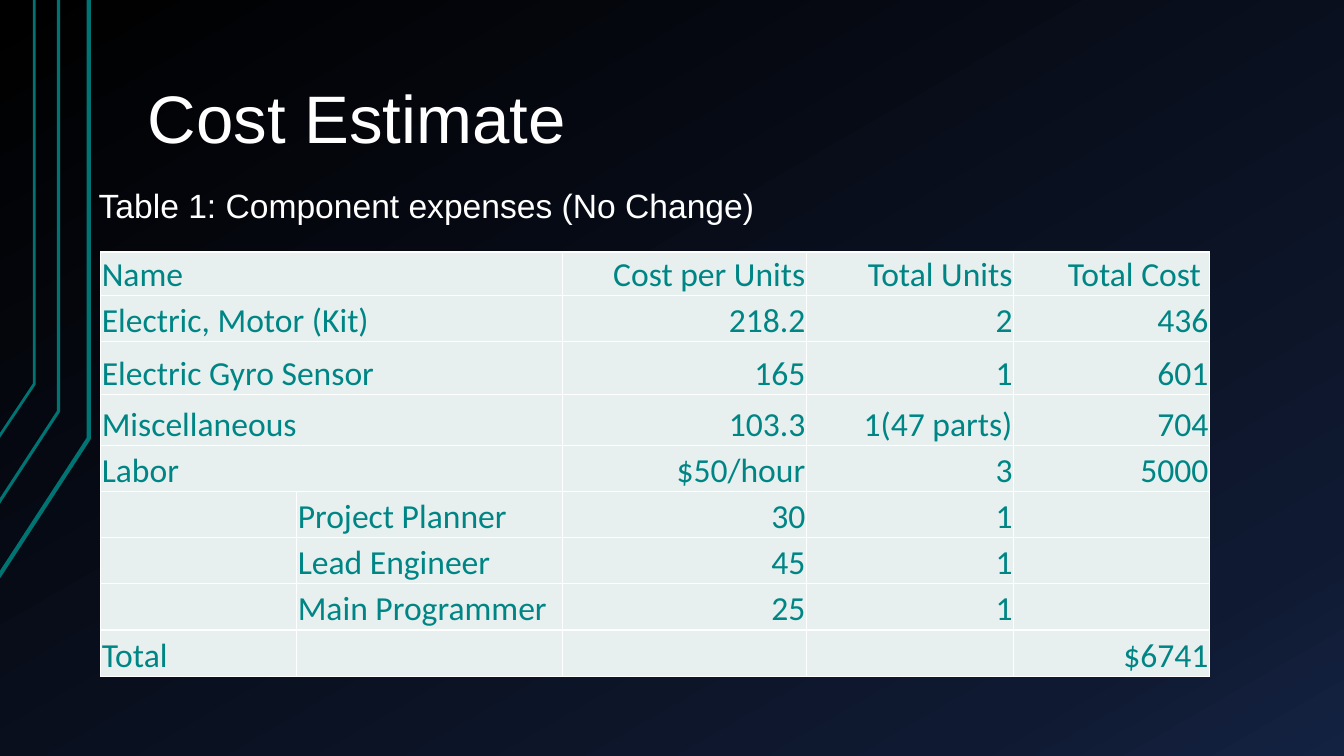
"""Build the cost estimate slide with its component expense table."""
from copy import deepcopy

from lxml import etree
from pptx import Presentation
from pptx.dml.color import RGBColor
from pptx.enum.text import MSO_ANCHOR, PP_ALIGN
from pptx.oxml.ns import qn
from pptx.util import Pt

LEFT, RIGHT = PP_ALIGN.LEFT, PP_ALIGN.RIGHT
TOP, BOTTOM = MSO_ANCHOR.TOP, MSO_ANCHOR.BOTTOM

TITLE = "Cost Estimate"
CAPTION = "Table 1: Component expenses (No Change)"
ROWS = [
    ("Name", "", "Cost per Units", "Total Units", "Total Cost "),
    ("Electric, Motor (Kit)", "", "218.2", "2", "436"),
    ("Electric Gyro Sensor", "", "165", "1", "601"),
    ("Miscellaneous", "", "103.3", "1(47 parts)", "704"),
    ("Labor", "", "$50/hour", "3", "5000"),
    ("", "Project Planner", "30", "1", ""),
    ("", "Lead Engineer", "45", "1", ""),
    ("", "Main Programmer", "25", "1", ""),
    ("Total", "", "", "", "$6741"),
]
SPANNING_ROWS = 5
LABEL_COLUMNS = 2
COLUMN_WIDTHS = [140, 190, 174, 148, 140]
ROW_HEIGHTS = [31, 33, 38, 36] + [33] * 5
RAILS = [
    {"x": 63.4, "bend": 313.2, "end": 412, "weight": 3},
    {"x": 41.8, "bend": 293.8, "end": 359.3, "weight": 2.25},
    {"x": 24.5, "bend": 274.3, "end": 312.5, "weight": 2},
]
THEME = {
    "gradient": [(0, "000000"), (0.85, "0F1931"), (1, "142242")],
    "gradient_angle": 300,
    "rail": "007373",
    "light": "FFFFFF",
    "cell": "E7EFEF",
    "cell_text": "008585",
    "heading_font": "Arial",
    "table_font": "Calibri",
    "title_size": 48,
    "body_size": 24,
}


def rgb(name):
    return RGBColor.from_string(THEME[name])


def write(frame, text, font="heading_font", size="body_size", color="light",
          align=LEFT, spacing=None):
    para = frame.paragraphs[0]
    para.alignment = align
    if spacing:
        para.line_spacing = spacing
    span = para.add_run()
    span.text = text
    span.font.name = THEME[font]
    span.font.size = Pt(THEME[size])
    span.font.color.rgb = rgb(color)


def paint_background(page):
    fill = page.background.fill
    fill.gradient()
    fill.gradient_angle = THEME["gradient_angle"]
    stop_list = next(page.element.iter(qn("a:gsLst")))
    stop_list.insert(1, deepcopy(stop_list[0]))
    for stop, (position, color) in zip(fill.gradient_stops, THEME["gradient"]):
        stop.position = position
        stop.color.rgb = RGBColor.from_string(color)


def draw_rail(page, x, bend, end, weight):
    builder = page.shapes.build_freeform(Pt(-1), Pt(end))
    builder.add_line_segments([(Pt(x), Pt(bend)), (Pt(x), Pt(0))], close=False)
    rail = builder.convert_to_shape()
    rail.shadow.inherit = False
    rail.fill.background()
    rail.line.color.rgb = rgb("rail")
    rail.line.width = Pt(weight)


def add_text(page, text, left, top, width, height, wrap=True, anchor=TOP,
             inset=7.2, **style):
    box = page.shapes.add_textbox(Pt(left), Pt(top), Pt(width), Pt(height))
    frame = box.text_frame
    frame.word_wrap = wrap
    frame.vertical_anchor = anchor
    frame.margin_left = frame.margin_right = Pt(inset)
    frame.margin_top = frame.margin_bottom = Pt(inset / 2)
    write(frame, text, **style)


def style_cell(cell):
    properties = cell._tc.get_or_add_tcPr()
    for side in ("L", "R", "T", "B"):
        border = etree.SubElement(properties, qn("a:ln" + side), w=str(Pt(1)))
        solid = etree.SubElement(border, qn("a:solidFill"))
        etree.SubElement(solid, qn("a:srgbClr"), val=THEME["light"])
    cell.fill.solid()
    cell.fill.fore_color.rgb = rgb("cell")


def add_cost_table(page):
    table = page.shapes.add_table(
        len(ROWS), len(COLUMN_WIDTHS), Pt(72), Pt(180),
        Pt(sum(COLUMN_WIDTHS)), Pt(sum(ROW_HEIGHTS))).table
    table.first_row = table.horz_banding = False
    for column, width in zip(table.columns, COLUMN_WIDTHS):
        column.width = Pt(width)
    for row, height in zip(table.rows, ROW_HEIGHTS):
        row.height = Pt(height)
    for i, values in enumerate(ROWS):
        if i < SPANNING_ROWS:
            table.cell(i, 0).merge(table.cell(i, LABEL_COLUMNS - 1))
        for j, text in enumerate(values):
            cell = table.cell(i, j)
            style_cell(cell)
            if text:
                cell.vertical_anchor = BOTTOM
                cell.margin_left = cell.margin_right = cell.margin_top = Pt(0.72)
                cell.margin_bottom = Pt(0)
                write(cell.text_frame, text, font="table_font", color="cell_text",
                      align=LEFT if j < LABEL_COLUMNS else RIGHT)


def main():
    deck = Presentation()
    deck.slide_width, deck.slide_height = Pt(960), Pt(540)
    page = deck.slides.add_slide(deck.slide_layouts[6])
    paint_background(page)
    for rail in RAILS:
        draw_rail(page, **rail)
    add_text(page, TITLE, 96, 21.6, 816, 96, anchor=BOTTOM, inset=9.6,
             size="title_size", spacing=0.9)
    add_text(page, CAPTION, 63.4, 128.5, 488, 36, wrap=False)
    add_cost_table(page)
    deck.save("out.pptx")


if __name__ == "__main__":
    main()
